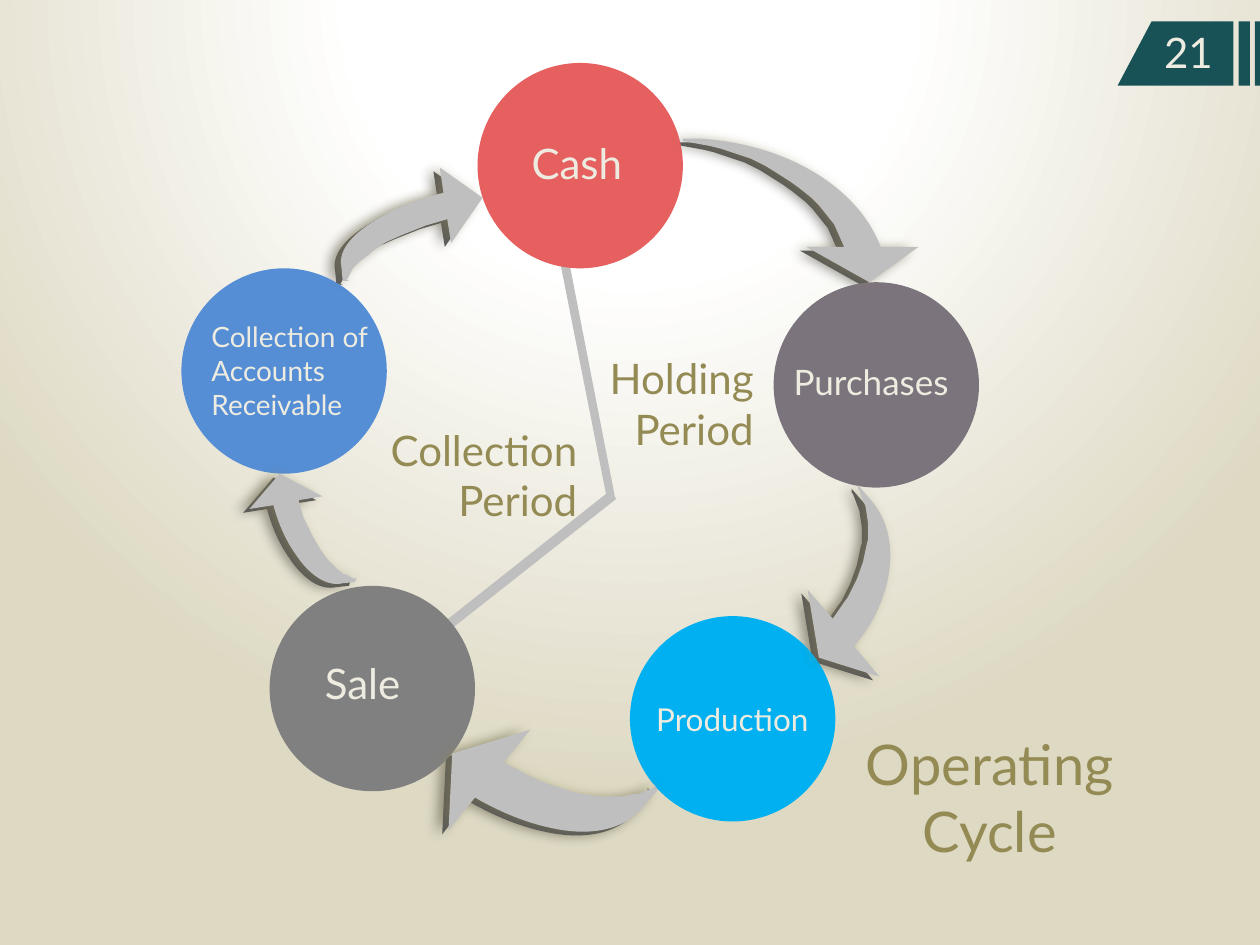
import pptx
import pptx.dml.color
import pptx.enum.shapes
import pptx.enum.text
import pptx.oxml
import pptx.oxml.ns
import pptx.util
from pptx.util import Inches

COLORS = {
    "white": "FFFFFF", "sand": "DDD9C3", "teal": "185156", "cream": "EEECE1",
    "olive": "948A54", "silver": "BFBFBF", "charcoal": "595959", "soot": "262626",
    "red": "E66060", "mauve": "7C747C", "cyan": "00B0F0", "gray": "808080", "blue": "558ED5",
}
ALIGN = pptx.enum.text.PP_ALIGN
CIRCLE_SIZE = 1.63

BADGE = [
    [(9.96, 0.17), (10, 0.17), (10, 0.68), (9.96, 0.68)],
    [(9.83, 0.17), (9.92, 0.17), (9.92, 0.68), (9.83, 0.68)],
    [(9.14, 0.17), (9.79, 0.17), (9.79, 0.68), (8.87, 0.68)],
]
PERIOD_DIVIDER = [(4.5, 1.99), (4.88, 3.94), (4.89, 3.96), (3.47, 5.08),
                  (3.42, 5.02), (4.81, 3.92), (4.43, 2)]

# Outlines in inches: a pair is a line to a point, six numbers are a Bezier curve.
CASH_TO_PURCHASES = [
    (5.42, 1.1), (5.55, 1.1), (6.23, 1.14, 6.81, 1.48, 6.99, 1.96),
    (7.29, 1.96), (6.9, 2.24), (6.4, 1.96), (6.7, 1.96), (6.62, 1.78), (6.58, 1.73),
    (6.5, 1.63), (6.44, 1.57), (6.34, 1.49), (6.27, 1.44), (6.16, 1.37), (6.08, 1.32),
    (5.96, 1.26), (5.87, 1.23), (5.72, 1.18), (5.64, 1.16), (5.42, 1.12)]
PURCHASES_TO_PRODUCTION = [
    (6.81, 3.85), (6.93, 3.99), (7.1, 4.2, 7.11, 4.52, 6.97, 4.83),
    (6.93, 4.93, 6.86, 5.03, 6.78, 5.13), (6.98, 5.37), (6.5, 5.22), (6.41, 4.68),
    (6.61, 4.91), (6.7, 4.78), (6.73, 4.74), (6.78, 4.64), (6.8, 4.6), (6.85, 4.46),
    (6.88, 4.32), (6.89, 4.28), (6.89, 4.15), (6.87, 4.02), (6.82, 3.89), (6.81, 3.88)]
PRODUCTION_TO_SALE = [
    (4.21, 5.79), (4, 6.05), (4.19, 6.15), (4.25, 6.18), (4.37, 6.23), (4.44, 6.25),
    (4.56, 6.29), (4.62, 6.3), (4.75, 6.32), (4.94, 6.32), (5.04, 6.3), (5.07, 6.3),
    (5.17, 6.26), (5.19, 6.25), (5.19, 6.22), (5.22, 6.27), (5.1, 6.41),
    (4.95, 6.59, 4.68, 6.64, 4.37, 6.57), (4.18, 6.53, 3.98, 6.45, 3.77, 6.33),
    (3.56, 6.59), (3.59, 5.98)]
SALE_TO_COLLECTION = [
    (2.56, 3.94), (2.37, 3.97), (2.41, 4.11), (2.43, 4.15), (2.47, 4.23), (2.49, 4.27),
    (2.53, 4.34), (2.55, 4.37), (2.6, 4.44), (2.68, 4.52), (2.73, 4.56), (2.75, 4.56),
    (2.8, 4.59), (2.82, 4.59), (2.83, 4.58), (2.82, 4.62), (2.72, 4.63),
    (2.59, 4.66, 2.45, 4.56, 2.34, 4.39), (2.27, 4.29, 2.21, 4.16, 2.17, 4.01),
    (1.98, 4.04), (2.22, 3.76)]
COLLECTION_TO_CASH = [
    (3.58, 1.93), (3.55, 1.74), (3.38, 1.79), (3.33, 1.81), (3.23, 1.85), (3.18, 1.87),
    (3.09, 1.91), (3.05, 1.93), (2.96, 1.99), (2.94, 2.01), (2.85, 2.08), (2.8, 2.13),
    (2.79, 2.15), (2.76, 2.21), (2.75, 2.22), (2.77, 2.23), (2.72, 2.23), (2.71, 2.12),
    (2.68, 1.98, 2.81, 1.84, 3.03, 1.72), (3.16, 1.64, 3.33, 1.58, 3.52, 1.53),
    (3.49, 1.33), (3.83, 1.57)]
ARROWS = [CASH_TO_PURCHASES, PURCHASES_TO_PRODUCTION, PRODUCTION_TO_SALE,
          SALE_TO_COLLECTION, COLLECTION_TO_CASH]

STAGES = [(3.79, 0.5, "red"), (6.14, 2.24, "mauve"), (5, 4.89, "cyan"),
          (2.14, 4.65, "gray"), (1.44, 2.13, "blue")]

LABELS = [
    ("Cash", (4.12, 1.04, 0.99, 0.5), 24, "cream", ALIGN.LEFT),
    ("Purchases", (6.2, 2.81, 1.5, 0.44), 20, "cream", ALIGN.LEFT),
    ("Production", (5.11, 5.51, 1.55, 0.4), 18, "cream", ALIGN.LEFT),
    ("Sale", (2.48, 5.17, 0.99, 0.5), 24, "cream", ALIGN.LEFT),
    ("Collection of Accounts Receivable", (1.58, 2.49, 1.45, 0.91), 16, "cream", ALIGN.LEFT),
    ("Operating Cycle", (6.47, 5.74, 2.77, 1.18), 32, "olive", ALIGN.CENTER),
    ("Collection Period", (2.78, 3.32, 1.9, 0.91), 24, "olive", ALIGN.RIGHT),
    ("Holding Period", (4.55, 2.75, 1.53, 0.91), 24, "olive", ALIGN.RIGHT),
    ("21", (9.14, 0.16, 0.62, 0.5), 24, "cream", ALIGN.LEFT),
]


def rgb(color):
    return pptx.dml.color.RGBColor.from_string(COLORS[color])


def parse_drawing(markup):
    """Parse an element whose tag opens the markup, declaring the a: namespace."""
    head, rest = markup.split(" ", 1)
    return pptx.oxml.parse_xml(f"{head} {pptx.oxml.ns.nsdecls('a')} {rest}")


class CycleSlide:
    """Holds the typeface and the slide being drawn."""

    def __init__(self, slide, font="Lato"):
        self.slide = slide
        self.font = font

    def radial_background(self, stops):
        self.slide.background.fill.solid()
        properties = self.slide.element.find(".//" + pptx.oxml.ns.qn("p:bgPr"))
        stop_markup = "".join(
            f'<a:gs pos="{percent * 1000}"><a:srgbClr val="{COLORS[color]}"/></a:gs>'
            for percent, color in stops)
        gradient = parse_drawing(
            f'<a:gradFill rotWithShape="1"><a:gsLst>{stop_markup}</a:gsLst>'
            '<a:path path="circle"><a:fillToRect l="50000" t="-80000" r="50000" b="180000"/>'
            '</a:path></a:gradFill>')
        properties.replace(properties[0], gradient)

    def paint(self, shape, color):
        shape.shadow.inherit = False
        shape.fill.solid()
        shape.fill.fore_color.rgb = rgb(color)
        shape.line.fill.background()

    def circle(self, left, top, color):
        oval = pptx.enum.shapes.MSO_SHAPE.OVAL
        stage = self.slide.shapes.add_shape(
            oval, *map(Inches, (left, top, CIRCLE_SIZE, CIRCLE_SIZE)))
        self.paint(stage, color)

    def outline(self, contours, color):
        contours = [[(Inches(x), Inches(y)) for x, y in points] for points in contours]
        builder = self.slide.shapes.build_freeform(*contours[0][0])
        for number, points in enumerate(contours):
            if number:
                builder.move_to(*points[0])
            builder.add_line_segments(points[1:], close=True)
        shape = builder.convert_to_shape()
        self.paint(shape, color)
        return shape

    def arrow(self, steps, color, shadow, dx=0, dy=0):
        """Draw a curved arrow, moved by dx and dy, with a soft shadow to its left."""
        points, curve_starts = [], []
        for step in steps:
            if len(step) == 6:
                curve_starts.append(len(points))
            points += [(x + dx, y + dy) for x, y in zip(step[::2], step[1::2])]
        shape = self.outline([points], color)
        segments = list(shape.element.find(".//" + pptx.oxml.ns.qn("a:path")))
        for start in curve_starts:
            curve = parse_drawing("<a:cubicBezTo />")
            segments[start].addprevious(curve)
            for segment in segments[start:start + 3]:
                curve.append(segment[0])
                segment.getparent().remove(segment)
        effects = shape.element.spPr.find(pptx.oxml.ns.qn("a:effectLst"))
        effects.append(parse_drawing(
            f'<a:outerShdw blurRad="{pptx.util.Pt(7)}" dist="{pptx.util.Pt(3)}" '
            f'dir="10800000" rotWithShape="0"><a:srgbClr val="{COLORS[shadow]}">'
            '<a:alpha val="40000"/></a:srgbClr></a:outerShdw>'))

    def label(self, text, box, size, color, align):
        frame = self.slide.shapes.add_textbox(*map(Inches, box)).text_frame
        frame.word_wrap = True
        frame.auto_size = pptx.enum.text.MSO_AUTO_SIZE.SHAPE_TO_FIT_TEXT
        paragraph = frame.paragraphs[0]
        paragraph.alignment = align
        run = paragraph.add_run()
        run.text = text
        run.font.name = self.font
        run.font.size = pptx.util.Pt(size)
        run.font.color.rgb = rgb(color)


def main():
    deck = pptx.Presentation()
    deck.slide_width, deck.slide_height = Inches(10), Inches(7.5)
    cycle = CycleSlide(deck.slides.add_slide(deck.slide_layouts[6]))
    cycle.radial_background([(0, "white"), (35, "white"), (100, "sand")])
    cycle.outline(BADGE, "teal")
    cycle.outline([PERIOD_DIVIDER], "silver")
    for steps in ARROWS:
        cycle.arrow(steps, "charcoal", "soot", dx=-0.05, dy=0.03)
    for stage in STAGES:
        cycle.circle(*stage)
    for steps in ARROWS:
        cycle.arrow(steps, "silver", "olive")
    for label in LABELS:
        cycle.label(*label)
    deck.save("out.pptx")


if __name__ == "__main__":
    main()
